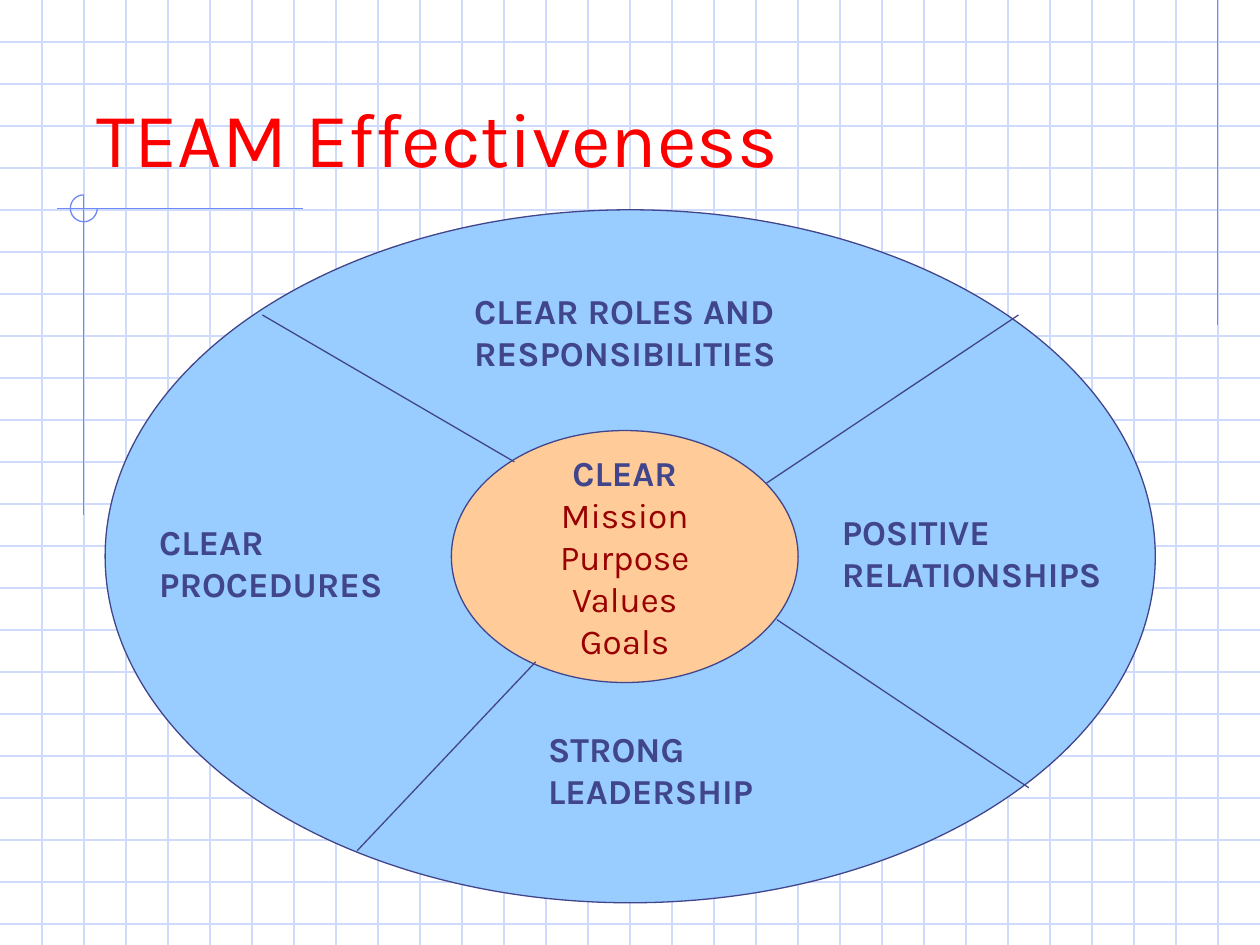
from dataclasses import dataclass
from math import cos, radians, sin

from lxml.etree import SubElement
from pptx import Presentation
from pptx.dml.color import RGBColor as RGB
from pptx.enum.shapes import MSO_CONNECTOR as CONN, MSO_SHAPE as SHAPE
from pptx.enum.text import MSO_ANCHOR as ANCHOR, PP_ALIGN as ALIGN
from pptx.oxml.ns import qn
from pptx.util import Cm, Pt


@dataclass(frozen=True)
class Theme:
    font: str = "Karla"
    grid: RGB = RGB(0xCF, 0xDB, 0xFD)
    accent: RGB = RGB(0x6F, 0x89, 0xF7)
    title: RGB = RGB(0xFC, 0x00, 0x00)
    ink: RGB = RGB(0x40, 0x45, 0x8C)
    goal: RGB = RGB(0x99, 0x00, 0x00)
    ring: RGB = RGB(0x99, 0xCC, 0xFF)
    core: RGB = RGB(0xFF, 0xCC, 0x99)
    title_size: Pt = Pt(44)
    label_size: Pt = Pt(20)
    line_width: Pt = Pt(0.75)


T = Theme()
WIDTH, HEIGHT = 25.4, 19.05
PITCH = 2.54 / 3  # grid squares, three to the inch

# Label text with left, top, width, height in cm
LABELS = [
    ("CLEAR ROLES AND RESPONSIBILITIES", 9.31, 5.72, 8.68, 1.96),
    ("CLEAR PROCEDURES", 2.96, 10.37, 5.93, 1.96),
    ("STRONG LEADERSHIP", 10.8, 14.55, 5.93, 1.96),
    ("POSITIVE RELATIONSHIPS", 16.72, 10.16, 5.93, 2.79),
]
# Dividers between the ring's sectors: x1, y1, x2, y2 in cm
DIVIDERS = [
    (5.29, 6.35, 10.37, 9.31),
    (10.8, 13.34, 7.2, 17.15),
    (15.45, 9.74, 20.53, 6.35),
    (15.66, 12.49, 20.74, 15.88),
]
GOALS = ["Mission", "Purpose", "Values", "Goals"]


def add_line(s, x1, y1, x2, y2, color):
    line = s.shapes.add_connector(CONN.STRAIGHT, Cm(x1), Cm(y1), Cm(x2), Cm(y2))
    line.line.color.rgb = color
    line.line.width = T.line_width
    SubElement(line._element.spPr, qn("a:effectLst"))


def add_run(p, text, size, color, bold=False):
    r = p.add_run()
    r.text = text
    r.font.name = T.font
    r.font.size = size
    r.font.bold = bold
    r.font.color.rgb = color


def add_text(s, text, box, size, color, bold=False, anchor=ANCHOR.TOP):
    tf = s.shapes.add_textbox(*map(Cm, box)).text_frame
    tf.word_wrap = True
    tf.vertical_anchor = anchor
    add_run(tf.paragraphs[0], text, size, color, bold)


def add_ellipse(s, box, fill):
    sp = s.shapes.add_shape(SHAPE.OVAL, *map(Cm, box))
    sp.shadow.inherit = False
    sp.fill.solid()
    sp.fill.fore_color.rgb = fill
    sp.line.color.rgb = T.ink
    sp.line.width = T.line_width
    return sp


def add_arc(s, cx, cy, radius, start, end):
    """Open circular arc; angles in degrees, clockwise from the right."""
    points = [(Cm(cx + radius * cos(radians(a))), Cm(cy + radius * sin(radians(a))))
              for a in range(start, end + 1, 6)]
    builder = s.shapes.build_freeform(*points[0])
    builder.add_line_segments(points[1:], close=False)
    sp = builder.convert_to_shape()
    sp.shadow.inherit = False
    sp.fill.background()
    sp.line.color.rgb = T.accent
    sp.line.width = T.line_width


def add_background(s):
    # Graph paper
    for i in range(1, int(HEIGHT / PITCH) + 1):
        add_line(s, 0, i * PITCH, WIDTH, i * PITCH, T.grid)
    for i in range(1, int(WIDTH / PITCH + 0.01)):
        add_line(s, i * PITCH, 0, i * PITCH, HEIGHT, T.grid)
    # Accent lines and corner mark
    add_line(s, 24.55, 0, 24.55, 6.55, T.accent)
    add_line(s, 6.1, 4.2, 1.14, 4.2, T.accent)
    add_line(s, 1.69, 3.94, 1.69, 10.39, T.accent)
    add_arc(s, 1.69, 4.2, 0.27, 0, 270)


def add_core(s):
    sp = add_ellipse(s, (9.1, 8.68, 6.99, 5.08), T.core)
    tf = sp.text_frame
    tf.word_wrap = False
    tf.vertical_anchor = ANCHOR.MIDDLE
    add_run(tf.paragraphs[0], "CLEAR", T.label_size, T.ink, bold=True)
    for goal in GOALS:
        add_run(tf.add_paragraph(), goal, T.label_size, T.goal)
    for p in tf.paragraphs:
        p.alignment = ALIGN.CENTER


def main():
    prs = Presentation()
    prs.slide_width, prs.slide_height = Cm(WIDTH), Cm(HEIGHT)
    s = prs.slides.add_slide(prs.slide_layouts[6])

    add_background(s)
    add_text(s, "TEAM Effectiveness", (1.69, 0.64, 22.65, 3.18),
             T.title_size, T.title, anchor=ANCHOR.BOTTOM)

    # Ring, core, dividers and sector labels
    add_ellipse(s, (2.12, 4.23, 21.17, 13.97), T.ring)
    add_core(s)
    for divider in DIVIDERS:
        add_line(s, *divider, T.ink)
    for text, *box in LABELS:
        add_text(s, text, box, T.label_size, T.ink, bold=True)

    prs.save("out.pptx")


if __name__ == "__main__":
    main()
